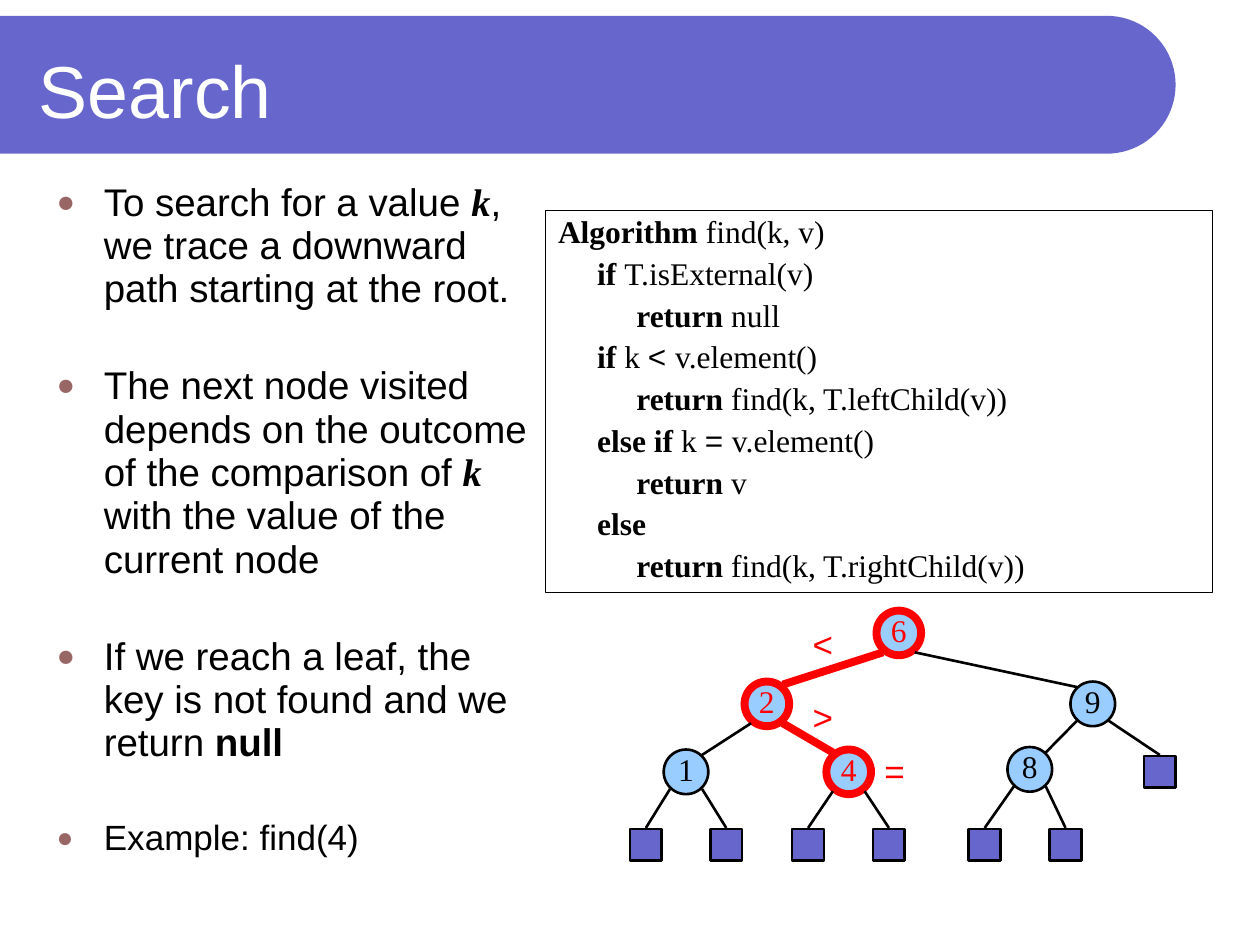
from math import cos, pi, sin

from lxml.etree import SubElement
from pptx import Presentation
from pptx.dml.color import RGBColor
from pptx.enum.shapes import MSO_CONNECTOR, MSO_SHAPE
from pptx.enum.text import MSO_ANCHOR, MSO_AUTO_SIZE, PP_ALIGN
from pptx.oxml.ns import qn
from pptx.util import Cm, Pt

THEME = {
    "accent": RGBColor(0x66, 0x66, 0xCC),
    "node": RGBColor(0x99, 0xCC, 0xFF),
    "ink": RGBColor(0, 0, 0),
    "visited": RGBColor(0xFF, 0, 0),
    "white": RGBColor(0xFF, 0xFF, 0xFF),
    "bullet": "996666",
    "sans": "Arial",
    "serif": "Times New Roman",
    "title": Pt(42), "body": Pt(22), "small": Pt(20), "code": Pt(18),
    "thin": Pt(1.5), "thick": Pt(4.5), "frame": Pt(0.75),
}
SANS, SERIF = {"name": THEME["sans"]}, {"name": THEME["serif"]}
BOLD = {"bold": True}
VARIABLE = {**SERIF, "bold": True, "italic": True}


def add_spans(para, spans, size, color, base):
    """Add (text, format) spans to a paragraph over a base format."""
    for text, extra in spans:
        span = para.add_run()
        span.text = text
        span.font.color.rgb = color
        for name, value in {"size": size, **base, **extra}.items():
            setattr(span.font, name, value)


def paint(shape, fill, line, width):
    """Set fill and outline, None meaning no paint, and drop the shadow."""
    shape.shadow.inherit = False
    for part, color in ((shape.fill, fill), (shape.line.fill, line)):
        if color is None:
            part.background()
        else:
            part.solid()
            part.fore_color.rgb = color
    if line is not None:
        shape.line.width = width


deck = Presentation()
deck.slide_width, deck.slide_height = Cm(25.4), Cm(19.05)
page = deck.slides.add_slide(deck.slide_layouts[1])

# Banner with a round right end, behind the text
radius, center_x, center_y = 1.39, 22.31, 1.71
arc = [(center_x + radius * cos(angle), center_y + radius * sin(angle))
       for angle in (pi * (step / 40 - 0.5) for step in range(41))]
outline = page.shapes.build_freeform(0, Cm(center_y - radius))
outline.add_line_segments(
    [(Cm(x), Cm(y)) for x, y in arc + [(0, center_y + radius)]], close=True)
banner = outline.convert_to_shape()
paint(banner, THEME["accent"], None, None)
banner.element.getparent().insert(2, banner.element)

# Title and list placeholders
title, body = page.shapes.title, page.placeholders[1]
for holder, place, anchor in (
        (title, (0.53, 0.53, 22.28, 2.54), MSO_ANCHOR.MIDDLE),
        (body, (0.89, 3.53, 10.11, 14.6), MSO_ANCHOR.TOP)):
    holder.left, holder.top, holder.width, holder.height = map(Cm, place)
    holder.text_frame.vertical_anchor = anchor
    holder.text_frame.auto_size = MSO_AUTO_SIZE.NONE
para = title.text_frame.paragraphs[0]
para.alignment = PP_ALIGN.LEFT
add_spans(para, [("Search", {})], THEME["title"], THEME["white"], SANS)

# Bulleted list
points = [
    [("To search for a value ", {}), ("k", VARIABLE),
     (", we trace a downward path starting at the root.", {})],
    [("The next node visited depends on the outcome of the comparison of ", {}),
     ("k", VARIABLE), (" with the value of the current node", {})],
    [("If we reach a leaf, the key is not found and we return ", {}),
     ("null", BOLD)],
    [("Example: find(4)", {"size": THEME["small"]})],
]
for index, spans in enumerate(points):
    frame = body.text_frame
    para = frame.add_paragraph() if index else frame.paragraphs[0]
    properties = para._p.get_or_add_pPr()
    properties.set("marL", str(Cm(0.95)))
    properties.set("indent", str(-Cm(0.95)))
    color = SubElement(properties, qn("a:buClr"))
    SubElement(color, qn("a:srgbClr")).set("val", THEME["bullet"])
    SubElement(properties, qn("a:buSzPct")).set("val", "80000")
    SubElement(properties, qn("a:buChar")).set("char", "●")
    para.line_spacing = 0.94
    para.space_before = Pt(30.5 if index else 0)
    add_spans(para, spans, THEME["body"], THEME["ink"], SANS)

# Algorithm box
code = [
    (0, [("Algorithm", BOLD), (" find(k, v)", {})]),
    (1, [("if ", BOLD), ("T.isExternal(v)", {})]),
    (2, [("return ", BOLD), ("null", {})]),
    (1, [("if", BOLD), (" k ", {}), ("< ", SANS), ("v.element()", {})]),
    (2, [("return", BOLD), (" find(k, T.leftChild(v))", {})]),
    (1, [("else if", BOLD), (" k ", {}), ("= ", SANS), ("v.element()", {})]),
    (2, [("return", BOLD), (" v", {})]),
    (1, [("else", BOLD)]),
    (2, [("return", BOLD), (" find(k, T.rightChild(v))", {})]),
]
box = page.shapes.add_shape(
    MSO_SHAPE.RECTANGLE, Cm(11), Cm(4.24), Cm(13.44), Cm(7.7))
paint(box, None, THEME["ink"], THEME["frame"])
frame = box.text_frame
frame.word_wrap, frame.vertical_anchor = True, MSO_ANCHOR.TOP
for index, (depth, spans) in enumerate(code):
    para = frame.add_paragraph() if index else frame.paragraphs[0]
    para._p.get_or_add_pPr().set("marL", str(Cm(0.79 * depth)))
    para.alignment, para.line_spacing = PP_ALIGN.LEFT, 0.9
    para.space_before = Pt(4.4 if index else 0)
    add_spans(para, spans, THEME["code"], THEME["ink"], SERIF)

# Tree nodes: key, center, children (a pair of numbers is a leaf center)
nodes = {
    "6": (18.12, 12.76, ["2", "9"]),
    "2": (15.46, 14.19, ["1", "4"]),
    "9": (22.03, 14.19, ["8", (23.38, 15.56)]),
    "1": (13.83, 15.56, [(13.02, 17.03), (14.64, 17.03)]),
    "4": (17.11, 15.56, [(16.29, 17.03), (17.92, 17.03)]),
    "8": (20.76, 15.51, [(19.85, 17.03), (21.48, 17.03)]),
}
search_route = {"6", "2", "4"}
node_size, leaf_size = 0.9, 0.64
corner_x, corner_y, route_corner_y = 0.32, 0.34, 0.39
edges = []
for key, (x, y, children) in nodes.items():
    on_route = key in search_route
    color = THEME["visited" if on_route else "ink"]
    node = page.shapes.add_shape(
        MSO_SHAPE.OVAL, Cm(x - node_size / 2), Cm(y - node_size / 2),
        Cm(node_size), Cm(node_size))
    paint(node, THEME["node"], color, THEME["thick" if on_route else "thin"])
    frame = node.text_frame
    for name, value in {"margin_left": 0, "margin_right": 0, "margin_top": 0,
                        "margin_bottom": Cm(0.13), "word_wrap": False,
                        "vertical_anchor": MSO_ANCHOR.MIDDLE}.items():
        setattr(frame, name, value)
    frame.paragraphs[0].alignment = PP_ALIGN.CENTER
    add_spans(frame.paragraphs[0], [(key, {})], THEME["code"], color, SERIF)

    # Leaves, and edges that run between facing corners
    for side, child in zip((-1, 1), children):
        start = (x + side * corner_x,
                 y + (route_corner_y if on_route else corner_y))
        if child in nodes:
            child_x, child_y, _ = nodes[child]
            drop = route_corner_y if child in search_route else corner_y
            end = (child_x - side * corner_x, child_y - drop)
        else:
            child_x, child_y = child
            leaf = page.shapes.add_shape(
                MSO_SHAPE.RECTANGLE, Cm(child_x - leaf_size / 2),
                Cm(child_y - leaf_size / 2), Cm(leaf_size), Cm(leaf_size))
            paint(leaf, THEME["accent"], THEME["ink"], THEME["thin"])
            end = (child_x, child_y - corner_y)
        edges.append((start, end, on_route and child in search_route))

for start, end, on_route in edges:
    edge = page.shapes.add_connector(
        MSO_CONNECTOR.STRAIGHT, *map(Cm, start + end))
    edge.line.color.rgb = THEME["visited" if on_route else "ink"]
    edge.line.width = THEME["thick" if on_route else "thin"]
    SubElement(edge.element.spPr, qn("a:effectLst"))

# Comparison signs along the search route
for sign, left, top in (("<", 16.13, 12.42), (">", 16.13, 13.89),
                        ("=", 17.58, 14.99)):
    label = page.shapes.add_textbox(Cm(left), Cm(top), Cm(0.89), Cm(1.09))
    label.text_frame.word_wrap = False
    para = label.text_frame.paragraphs[0]
    para.alignment = PP_ALIGN.CENTER
    add_spans(para, [(sign, {})], THEME["small"], THEME["visited"], SANS)

deck.save("out.pptx")
